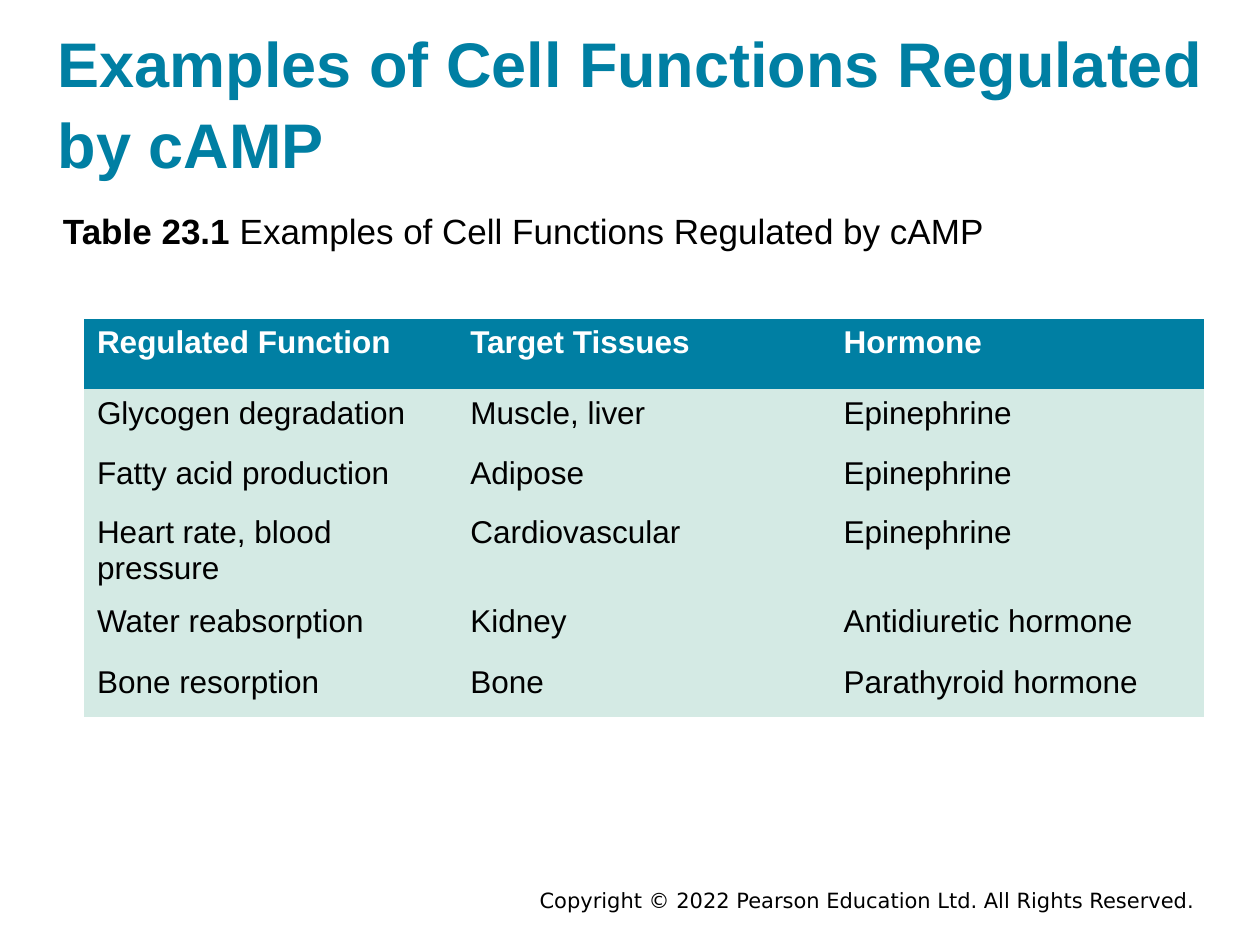
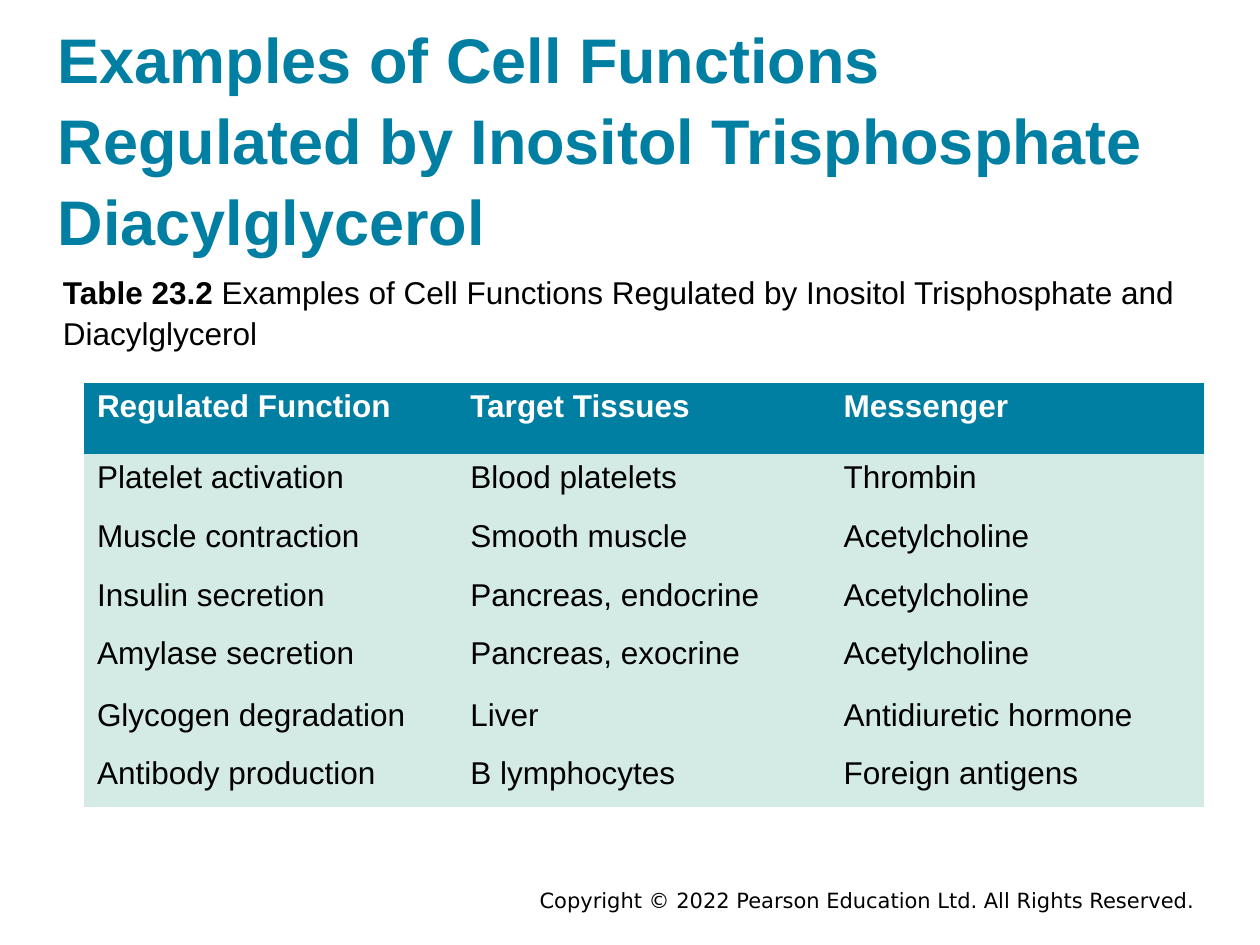
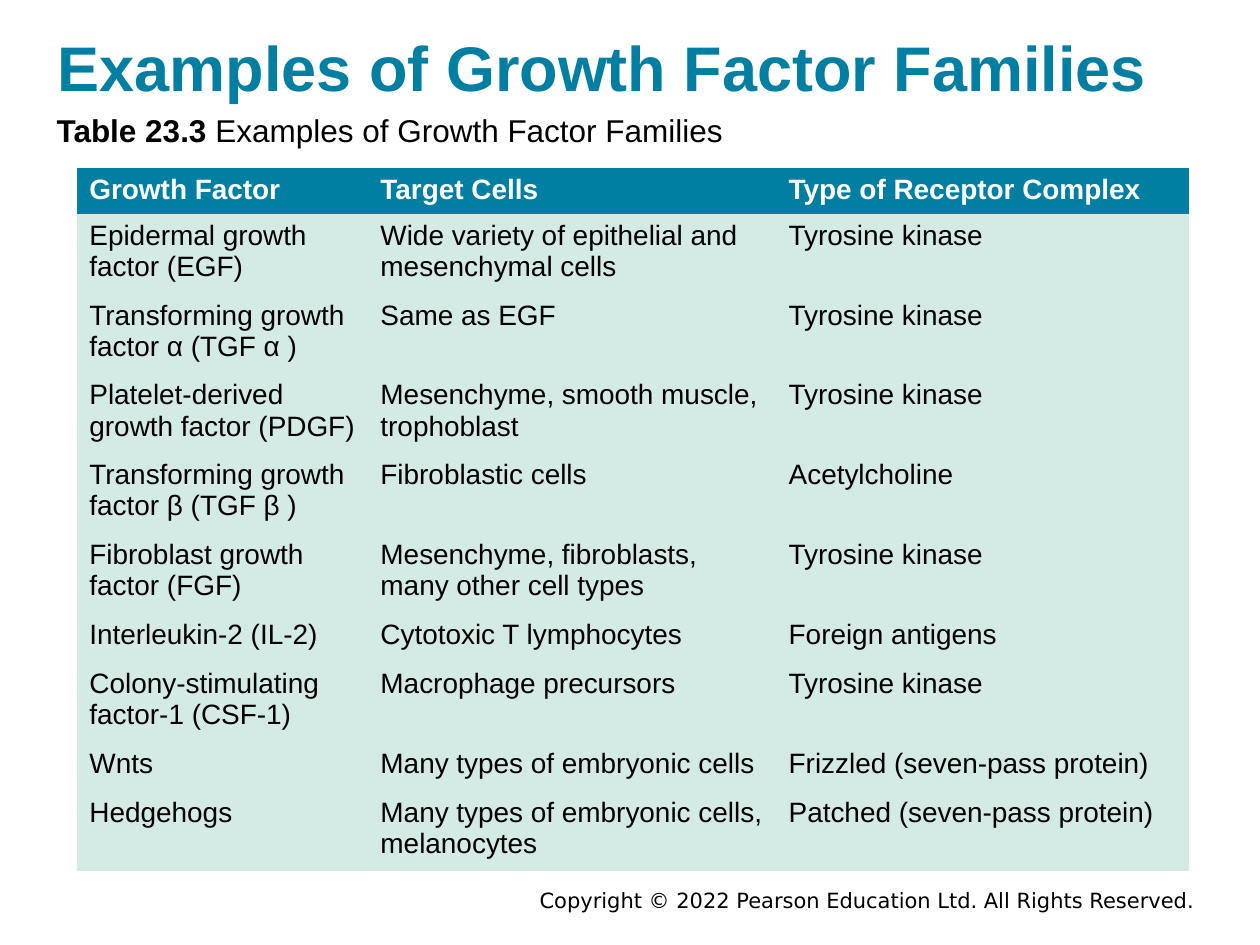
"""Build three slides of cell signalling tables that share a title, caption and footer style."""
from dataclasses import dataclass

import pptx
import pptx.dml.color
import pptx.enum.text
import pptx.oxml.ns
import pptx.presentation
import pptx.slide
import pptx.text.text
import pptx.util

TEAL = pptx.dml.color.RGBColor(0x00, 0x7F, 0xA3)
MINT = pptx.dml.color.RGBColor(0xD4, 0xEA, 0xE4)
BLACK = pptx.dml.color.RGBColor(0x00, 0x00, 0x00)
WHITE = pptx.dml.color.RGBColor(0xFF, 0xFF, 0xFF)

SLIDE_WIDTH = pptx.util.Inches(10)
SLIDE_HEIGHT = pptx.util.Inches(7.5)
COLUMN = SLIDE_WIDTH / 100
ROW = SLIDE_HEIGHT / 75
HEADING_SPACING = 1.07
PLAIN_TABLE_STYLE = "{2D5ABB26-0587-4C30-8999-92F81FD0307C}"
COPYRIGHT = "Copyright © 2022 Pearson Education Ltd. All Rights Reserved."


@dataclass(frozen=True)
class Area:
    """A rectangle in grid columns and rows."""
    left: float
    top: float
    width: float
    height: float

    def lengths(self) -> tuple[int, int, int, int]:
        """Return left, top, width and height as slide lengths."""
        return (round(self.left * COLUMN), round(self.top * ROW),
                round(self.width * COLUMN), round(self.height * ROW))


@dataclass(frozen=True)
class Style:
    """The look of a piece of text."""
    size: int
    color: pptx.dml.color.RGBColor = BLACK
    bold: bool = False
    font: str = "Arial"


@dataclass(frozen=True)
class TableSlide:
    """The content and measures of one slide."""
    title: str
    title_area: Area
    number: str
    caption: str
    caption_area: Area
    caption_size: int
    table_area: Area
    column_widths: tuple[float, ...]
    row_heights: tuple[float, ...]
    cell_size: int
    rows: tuple[tuple[str, ...], ...]


FOOTER_AREA = Area(17.5, 70.3, 78.3, 2.2)
FOOTER_STYLE = Style(12, font="DejaVu Sans")
TITLE_STYLE = Style(36, TEAL, True)
EQUAL_COLUMNS = (29.63,) * 3
SHORT_ROW, TALL_ROW = 3.9, 5.95

TABLE_SLIDES = (
    TableSlide(
        "Examples of Cell Functions Regulated by cAMP", Area(4.6, 2.6, 90.9, 10.7),
        "Table 23.1 ", "Examples of Cell Functions Regulated by cAMP",
        Area(5, 16.4, 90, 4.6), 20,
        Area(6.7, 25.3, 88.9, 31.1), EQUAL_COLUMNS, (5.6, 4.75, 4.75, 6.6, 4.9, 4.6), 18,
        (
            ("Regulated Function", "Target Tissues", "Hormone"),
            ("Glycogen degradation", "Muscle, liver", "Epinephrine"),
            ("Fatty acid production", "Adipose", "Epinephrine"),
            ("Heart rate, blood\npressure", "Cardiovascular", "Epinephrine"),
            ("Water reabsorption", "Kidney", "Antidiuretic hormone"),
            ("Bone resorption", "Bone", "Parathyroid hormone"),
        ),
    ),
    TableSlide(
        "Examples of Cell Functions Regulated by Inositol Trisphosphate Diacylglycerol",
        Area(4.6, 2, 90.8, 17.7),
        "Table 23.2 ",
        "Examples of Cell Functions Regulated by Inositol Trisphosphate and Diacylglycerol",
        Area(5, 21.5, 90, 5.7), 18,
        Area(6.7, 30.4, 88.9, 33.7), EQUAL_COLUMNS, (5.6, 4.7, 4.7, 4.6, 4.9, 4.6, 4.6), 18,
        (
            ("Regulated Function", "Target Tissues", "Messenger"),
            ("Platelet activation", "Blood platelets", "Thrombin"),
            ("Muscle contraction", "Smooth muscle", "Acetylcholine"),
            ("Insulin secretion", "Pancreas, endocrine", "Acetylcholine"),
            ("Amylase secretion", "Pancreas, exocrine", "Acetylcholine"),
            ("Glycogen degradation", "Liver", "Antidiuretic hormone"),
            ("Antibody production", "B lymphocytes", "Foreign antigens"),
        ),
    ),
    TableSlide(
        "Examples of Growth Factor Families", Area(4.6, 2.1, 90.4, 5.9),
        "Table 23.3 ", "Examples of Growth Factor Families",
        Area(4.5, 8.6, 90, 3.6), 18,
        Area(6.1, 13.3, 88.3, 52.9), (23.1, 32.4, 32.8),
        (3.5,) + (TALL_ROW,) * 5 + (SHORT_ROW, TALL_ROW) * 2, 16,
        (
            ("Growth Factor", "Target Cells", "Type of Receptor Complex"),
            ("Epidermal growth factor (EGF)",
             "Wide variety of epithelial and mesenchymal cells", "Tyrosine kinase"),
            ("Transforming growth factor α (TGF α )", "Same as EGF", "Tyrosine kinase"),
            ("Platelet-derived growth factor (PDGF)",
             "Mesenchyme, smooth muscle, trophoblast", "Tyrosine kinase"),
            ("Transforming growth factor β (TGF β )", "Fibroblastic cells", "Acetylcholine"),
            ("Fibroblast growth factor (FGF)",
             "Mesenchyme, fibroblasts, many other cell types", "Tyrosine kinase"),
            ("Interleukin-2 (IL-2)", "Cytotoxic T lymphocytes", "Foreign antigens"),
            ("Colony-stimulating factor-1 (CSF-1)", "Macrophage precursors",
             "Tyrosine kinase"),
            ("Wnts", "Many types of embryonic cells", "Frizzled (seven-pass protein)"),
            ("Hedgehogs", "Many types of embryonic cells, melanocytes",
             "Patched (seven-pass protein)"),
        ),
    ),
)


def format_runs(frame: pptx.text.text.TextFrame, style: Style) -> None:
    """Apply a style to every run of a text frame."""
    for paragraph in frame.paragraphs:
        for run in paragraph.runs:
            run.font.name = style.font
            run.font.size = pptx.util.Pt(style.size)
            run.font.bold = style.bold
            run.font.color.rgb = style.color


def add_text(slide: pptx.slide.Slide, area: Area, text: str, style: Style,
             anchor: pptx.enum.text.MSO_ANCHOR) -> pptx.text.text.TextFrame:
    """Add a wrapped text box and return its text frame."""
    frame = slide.shapes.add_textbox(*area.lengths()).text_frame
    frame.word_wrap = True
    frame.vertical_anchor = anchor
    frame.text = text
    format_runs(frame, style)
    return frame


def add_heading(slide: pptx.slide.Slide, area: Area, text: str, style: Style,
                anchor: pptx.enum.text.MSO_ANCHOR) -> pptx.text.text.TextFrame:
    """Add text without margins in the wider heading line spacing."""
    frame = add_text(slide, area, text, style, anchor)
    frame.margin_left = frame.margin_right = frame.margin_top = frame.margin_bottom = 0
    frame.paragraphs[0].line_spacing = HEADING_SPACING
    return frame


def add_caption(slide: pptx.slide.Slide, content: TableSlide) -> None:
    """Add the table caption with its number in bold."""
    frame = add_heading(slide, content.caption_area, content.number,
                        Style(content.caption_size), pptx.enum.text.MSO_ANCHOR.TOP)
    number = frame.paragraphs[0].runs[0]
    frame.paragraphs[0].add_run().text = content.caption
    format_runs(frame, Style(content.caption_size))
    number.font.bold = True


def add_data_table(slide: pptx.slide.Slide, content: TableSlide) -> None:
    """Add the table with a teal header and a mint body."""
    holder = slide.shapes.add_table(len(content.rows), len(content.column_widths),
                                    *content.table_area.lengths())
    for style_id in holder.element.iter(pptx.oxml.ns.qn("a:tableStyleId")):
        style_id.text = PLAIN_TABLE_STYLE
    table = holder.table
    table.horz_banding = False
    for column, width in zip(table.columns, content.column_widths):
        column.width = round(width * COLUMN)
    for row, height in zip(table.rows, content.row_heights):
        row.height = round(height * ROW)
    header = Style(content.cell_size, WHITE, True)
    body = Style(content.cell_size)
    for row_index, texts in enumerate(content.rows):
        for column_index, text in enumerate(texts):
            cell = table.cell(row_index, column_index)
            cell.fill.solid()
            cell.fill.fore_color.rgb = MINT if row_index else TEAL
            cell.text_frame.text = text
            format_runs(cell.text_frame, body if row_index else header)


def add_table_slide(deck: pptx.presentation.Presentation, content: TableSlide) -> None:
    """Add one complete slide."""
    slide = deck.slides.add_slide(deck.slide_layouts[6])
    middle = pptx.enum.text.MSO_ANCHOR.MIDDLE
    footer = add_text(slide, FOOTER_AREA, COPYRIGHT, FOOTER_STYLE, middle)
    footer.paragraphs[0].alignment = pptx.enum.text.PP_ALIGN.RIGHT
    add_heading(slide, content.title_area, content.title, TITLE_STYLE, middle)
    add_caption(slide, content)
    add_data_table(slide, content)


def main() -> None:
    """Build and save the presentation."""
    deck = pptx.Presentation()
    deck.slide_width = SLIDE_WIDTH
    deck.slide_height = SLIDE_HEIGHT
    for content in TABLE_SLIDES:
        add_table_slide(deck, content)
    deck.save("out.pptx")


if __name__ == "__main__":
    main()
